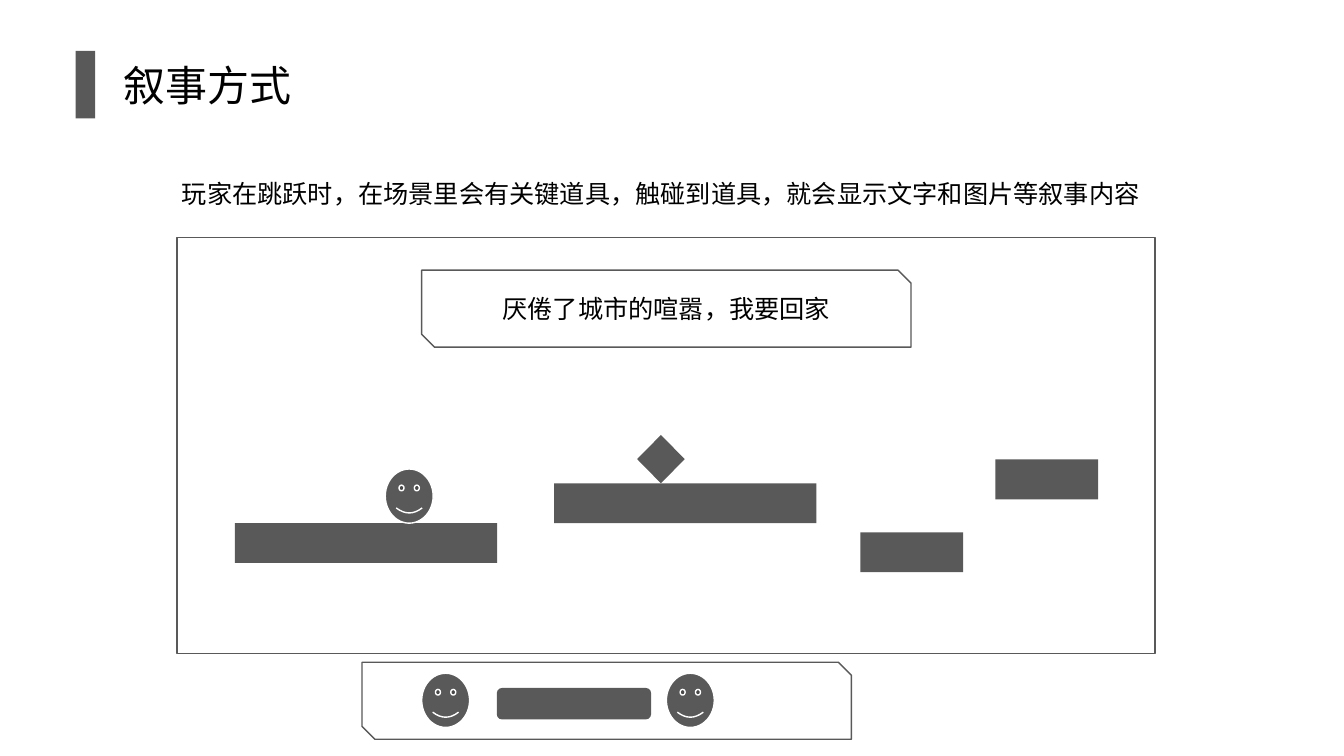
import pptx
import pptx.dml.color
import pptx.enum.shapes
import pptx.enum.text
import pptx.oxml.ns
import pptx.util
import lxml.etree

Pt = pptx.util.Pt
SHAPE = pptx.enum.shapes.MSO_SHAPE
ALIGN = pptx.enum.text.PP_ALIGN
ANCHOR = pptx.enum.text.MSO_ANCHOR


class SlideBuilder:
    """Holds the style and the current slide; lengths are in points."""

    colors = {"grey": "595959", "white": "FFFFFF", "black": "000000"}
    cjk_font = "Noto Sans CJK SC"

    def __init__(self, slide):
        self.slide = slide

    def color(self, name):
        return pptx.dml.color.RGBColor.from_string(self.colors[name])

    def fill_text(self, frame, text, size, align=ALIGN.LEFT, anchor=ANCHOR.TOP,
                  font=cjk_font, wrap=True):
        frame.word_wrap = wrap
        frame.auto_size = pptx.enum.text.MSO_AUTO_SIZE.NONE
        frame.vertical_anchor = anchor
        paragraph = frame.paragraphs[0]
        paragraph.alignment = align
        run = paragraph.add_run()
        run.text = text
        run.font.size = Pt(size)
        run.font.name = font
        run.font.color.rgb = self.color("black")
        run_properties = run._r.get_or_add_rPr()
        east_asian = lxml.etree.SubElement(run_properties, pptx.oxml.ns.qn("a:ea"))
        east_asian.set("typeface", self.cjk_font)

    def title(self, text, left, top, width, height, size):
        heading = self.slide.shapes.title
        heading.left, heading.top = Pt(left), Pt(top)
        heading.width, heading.height = Pt(width), Pt(height)
        self.fill_text(heading.text_frame, text, size)

    def text(self, text, left, top, width, height, size):
        box = self.slide.shapes.add_textbox(Pt(left), Pt(top), Pt(width), Pt(height))
        self.fill_text(box.text_frame, text, size, wrap=False)

    def shape(self, kind, left, top, width, height, fill=None, line=None):
        shape = self.slide.shapes.add_shape(kind, Pt(left), Pt(top), Pt(width), Pt(height))
        shape.shadow.inherit = False
        if fill:
            shape.fill.solid()
            shape.fill.fore_color.rgb = self.color(fill)
        else:
            shape.fill.background()
        if line:
            shape.line.color.rgb = self.color(line)
            shape.line.width = Pt(1)
        else:
            shape.line.fill.background()
        return shape

    def block(self, left, top, width, height, kind=SHAPE.RECTANGLE):
        self.shape(kind, left, top, width, height, fill="grey")

    def face(self, left, top):
        self.shape(SHAPE.SMILEY_FACE, left, top, 34.2, 38.7, fill="grey", line="white")

    def caption_frame(self, left, top):
        return self.shape(SHAPE.SNIP_2_DIAG_RECTANGLE, left, top, 349.5, 55, line="grey")


def main():
    deck = pptx.Presentation()
    deck.slide_width, deck.slide_height = Pt(960), Pt(540)
    builder = SlideBuilder(deck.slides.add_slide(deck.slide_layouts[5]))

    # Heading and explanation
    builder.block(54, 36.3, 14, 48.3)
    builder.title("叙事方式", 81, 39, 176.4, 43.5, 30)
    builder.text("玩家在跳跃时，在场景里会有关键道具，触碰到道具，就会显示文字和图片等叙事内容",
                 122.8, 124, 733, 29, 18)

    # Game scene: platforms, key item and player
    platforms = [(167.7, 373.6, 187.4), (395.8, 345.2, 187.4),
                 (614.6, 380.2, 73.4), (711, 328.2, 73.4)]
    for left, top, width in platforms:
        builder.block(left, top, width, 28.5)
    builder.block(455.1, 310.7, 34, 34.5, SHAPE.DIAMOND)
    builder.shape(SHAPE.RECTANGLE, 126.5, 169.5, 698.6, 297.2, line="grey")
    builder.face(275.2, 335)

    # Story caption inside the scene
    caption = builder.caption_frame(301.2, 193)
    builder.fill_text(caption.text_frame, "厌倦了城市的喧嚣，我要回家", 18,
                      ALIGN.CENTER, ANCHOR.MIDDLE, "Calibri")

    # Dialogue panel below the scene
    builder.caption_frame(258.6, 473.1)
    for left in (476, 301.2):
        builder.face(left, 480.9)
    builder.block(354.9, 491.4, 110.2, 22.5, SHAPE.ROUNDED_RECTANGLE)

    deck.save("out.pptx")


if __name__ == "__main__":
    main()
